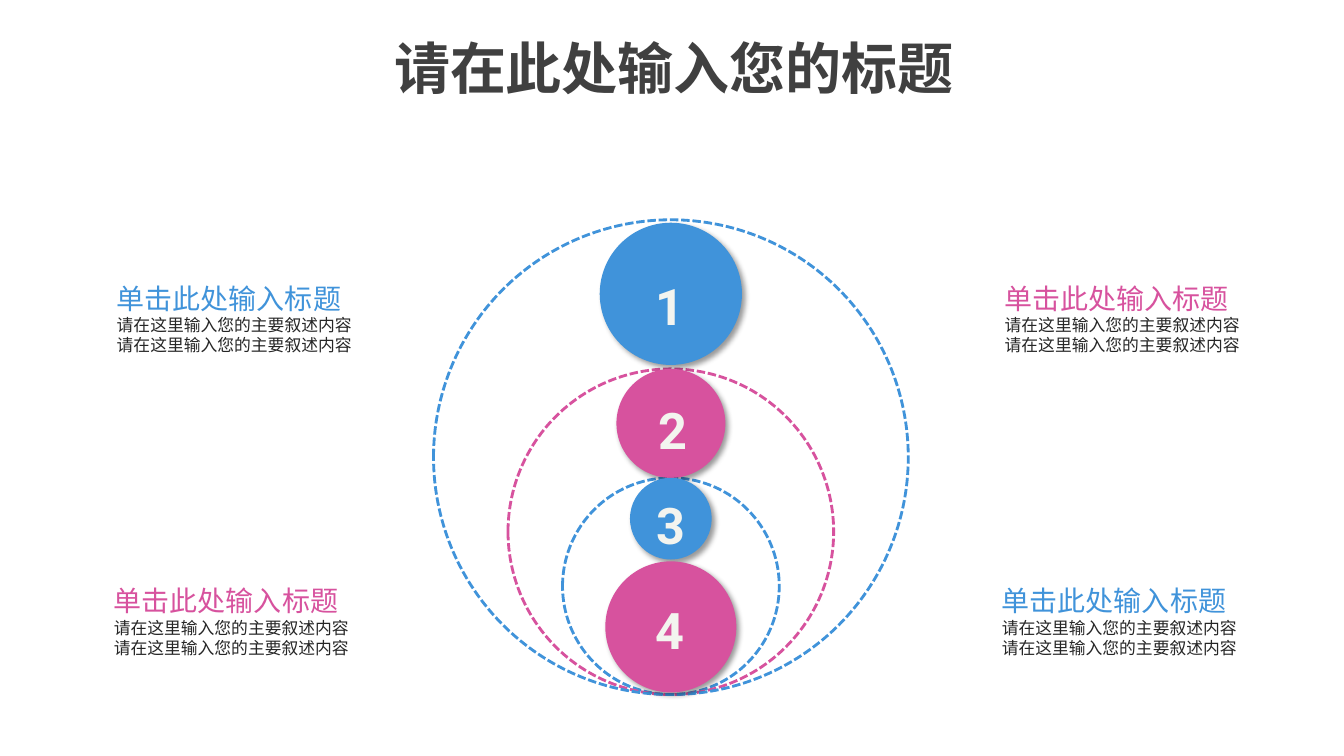
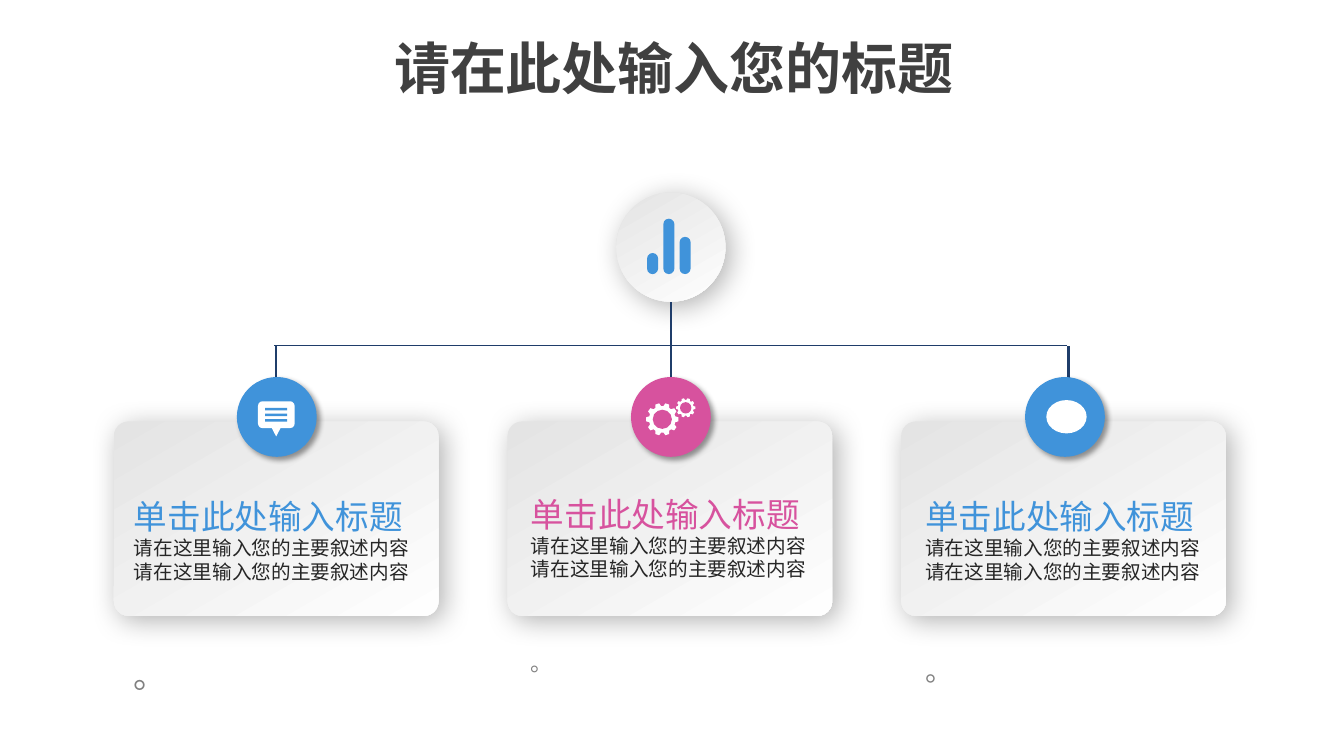
import math

from lxml import etree
from pptx import Presentation
from pptx.dml.color import RGBColor
from pptx.enum.dml import MSO_LINE
from pptx.enum.shapes import MSO_CONNECTOR, MSO_SHAPE
from pptx.enum.text import MSO_ANCHOR, MSO_AUTO_SIZE, PP_ALIGN
from pptx.oxml.ns import qn
from pptx.util import Pt

OVAL = MSO_SHAPE.OVAL
RECTANGLE = MSO_SHAPE.RECTANGLE
ROUNDED = MSO_SHAPE.ROUNDED_RECTANGLE
STRAIGHT = MSO_CONNECTOR.STRAIGHT
SYSTEM_DASH = MSO_LINE.SQUARE_DOT
TOP = MSO_ANCHOR.TOP
NO_FIT = MSO_AUTO_SIZE.NONE
LEFT = PP_ALIGN.LEFT
CENTER = PP_ALIGN.CENTER

BLUE = RGBColor(0x40, 0x93, 0xDA)
PINK = RGBColor(0xD7, 0x52, 0x9E)
NAVY = RGBColor(0x1F, 0x3D, 0x6A)
WHITE = RGBColor(0xFF, 0xFF, 0xFF)
IVORY = RGBColor(0xF3, 0xF4, 0xEF)
TITLE_GRAY = RGBColor(0x40, 0x40, 0x40)
BODY_GRAY = RGBColor(0x26, 0x26, 0x26)
DOT_GRAY = RGBColor(0x80, 0x80, 0x80)
CARD_DARK = RGBColor(0xE4, 0xE4, 0xE4)
CARD_LIGHT = RGBColor(0xFE, 0xFE, 0xFE)

CJK_FONT = "Noto Sans CJK SC"
DIGIT_FONT = "Roboto"
DOT_FONT = "Arial"
LINE_RATIO = 1.2
BASELINE_SHIFT = 0.08

BALL_SHADOW = {"alpha": 40, "blur": 4, "distance": 3}
CARD_SHADOW = {"alpha": 30, "blur": 20, "distance": 5}

TITLE = "请在此处输入您的标题"
HEADING = "单击此处输入标题"
BODY = ["请在这里输入您的主要叙述内容"] * 2

AXIS = 479.2
RING_BOTTOM = 496.1
RINGS = [(154.8, BLUE), (232.6, PINK), (339.1, BLUE)]
BALLS = [
    ("1", 159.1, 101.6, BLUE, 460.8, 193),
    ("2", 263.5, 77.8, PINK, 463, 281.5),
    ("3", 341.3, 58.4, BLUE, 461.5, 349.2),
    ("4", 401, 93.6, PINK, 460.8, 424.1),
]
NOTES = [
    (76.3, 195.8, BLUE),
    (74.2, 411.8, PINK),
    (710.6, 195.8, PINK),
    (708.5, 411.8, BLUE),
]

CARD_LEFT, CARD_TOP, CARD_WIDTH, CARD_HEIGHT = 81.3, 301, 232, 139
CARD_PITCH = 281.2
CARDS = [
    (88.6, 348.5, BLUE, 24),
    (372.2, 347, PINK, 16),
    (653.8, 348.5, BLUE, 20),
]
DOT_GAP = 43
HUB_TOP, HUB_SIZE = 137.5, 78
BAR_HEIGHTS = [15.1, 39.6, 26.6]
BAR_LEFT, BAR_PITCH, BAR_WIDTH, BAR_BOTTOM = 462.2, 11.6, 7.9, 195.8
BADGE_LEFT, BADGE_TOP, BADGE_SIZE, BADGE_PITCH = 169.2, 269.3, 57, 281.5
BUS_LINES = [
    (195.8, 247, 762.5, 247, 1),
    (AXIS, 216, AXIS, 278.6, 1.5),
    (197.3, 247.5, 197.3, 309.6, 1.5),
    (763.2, 247.5, 763.2, 309.6, 1.5),
]
GEARS = [(473.1, 299.5, 11.6), (489.8, 291.3, 6.9)]
GEAR_TEETH = 10


def apply(target, values):
    for name, value in values.items():
        setattr(target, name, value)


def add_shadow(shape, alpha, blur, distance):
    effects = shape._element.spPr.find(qn("a:effectLst"))
    shadow = etree.SubElement(
        effects, qn("a:outerShdw"), blurRad=str(Pt(blur)),
        dist=str(Pt(distance)), dir=str(45 * 60000), algn="tl", rotWithShape="0")
    color = etree.SubElement(shadow, qn("a:srgbClr"), val="000000")
    etree.SubElement(color, qn("a:alpha"), val=str(alpha * 1000))


def paint(shape, color, shadow=None):
    shape.shadow.inherit = False
    shape.line.fill.background()
    shape.fill.solid()
    shape.fill.fore_color.rgb = color
    if shadow:
        add_shadow(shape, **shadow)


def paint_card(shape):
    paint(shape, CARD_LIGHT, CARD_SHADOW)
    shape.fill.gradient()
    shape.fill.gradient_angle = 300
    for stop, position, color in zip(
            shape.fill.gradient_stops, (0, 1), (CARD_DARK, CARD_LIGHT)):
        apply(stop, {"position": position})
        stop.color.rgb = color


def add_shape(slide, kind, left, top, width, height, radius=None):
    shape = slide.shapes.add_shape(kind, Pt(left), Pt(top), Pt(width), Pt(height))
    if radius is not None:
        shape.adjustments[0] = radius
    return shape


def add_disc(slide, center_x, center_y, radius, color):
    disc = add_shape(slide, OVAL, center_x - radius, center_y - radius,
                     2 * radius, 2 * radius)
    paint(disc, color)


def add_polygon(slide, points, color):
    corners = [(Pt(x), Pt(y)) for x, y in points]
    builder = slide.shapes.build_freeform(*corners[0], scale=1.0)
    builder.add_line_segments(corners[1:], close=True)
    paint(builder.convert_to_shape(), color)


def add_run(paragraph, text, size, color, font=CJK_FONT, bold=False):
    run = paragraph.add_run()
    run.text = text
    apply(run.font, {"size": Pt(size), "bold": bold, "name": font})
    run.font.color.rgb = color
    etree.SubElement(run._r.get_or_add_rPr(), qn("a:ea"), typeface=CJK_FONT)


def prepare_frame(frame, first_size):
    apply(frame, {
        "word_wrap": True, "auto_size": NO_FIT, "vertical_anchor": TOP,
        "margin_left": Pt(7.2), "margin_right": Pt(7.2),
        "margin_top": Pt(3.6 + BASELINE_SHIFT * first_size),
        "margin_bottom": Pt(3.6),
    })


def format_line(paragraph, size, spacing=1, before=0, alignment=LEFT):
    apply(paragraph, {
        "line_spacing": Pt(round(size * LINE_RATIO * spacing, 1)),
        "space_before": Pt(before), "space_after": Pt(0), "alignment": alignment,
    })


def add_text_box(slide, left, top, width, height, first_size):
    box = slide.shapes.add_textbox(Pt(left), Pt(top), Pt(width), Pt(height))
    prepare_frame(box.text_frame, first_size)
    return box.text_frame


def add_note(slide, left, top, width, height, color, heading_size, body_size):
    frame = add_text_box(slide, left, top, width, height, heading_size)
    lines = [(HEADING, heading_size, color)]
    lines += [(text, body_size, BODY_GRAY) for text in BODY]
    for index, (text, size, line_color) in enumerate(lines):
        paragraph = frame.add_paragraph() if index else frame.paragraphs[0]
        format_line(paragraph, size)
        add_run(paragraph, text, size, line_color)
    return frame


def add_titled_slide(presentation):
    slide = presentation.slides.add_slide(presentation.slide_layouts[5])
    title = slide.shapes.title
    apply(title, {"left": Pt(271.4), "top": Pt(17.3),
                  "width": Pt(419.8), "height": Pt(55.4)})
    prepare_frame(title.text_frame, 40)
    paragraph = title.text_frame.paragraphs[0]
    format_line(paragraph, 40, alignment=CENTER)
    add_run(paragraph, TITLE, 40, TITLE_GRAY, bold=True)
    return slide


def build_rings_slide(presentation):
    slide = add_titled_slide(presentation)
    for size, color in RINGS:
        ring = add_shape(slide, OVAL, AXIS - size / 2, RING_BOTTOM - size, size, size)
        ring.shadow.inherit = False
        ring.fill.background()
        ring.line.color.rgb = color
        apply(ring.line, {"width": Pt(2), "dash_style": SYSTEM_DASH})
    for digit, top, size, color, text_left, text_top in BALLS:
        ball = add_shape(slide, OVAL, AXIS - size / 2, top, size, size)
        paint(ball, color, BALL_SHADOW)
        frame = add_text_box(slide, text_left, text_top, 35.4, 51, 0)
        add_run(frame.paragraphs[0], digit, 36, IVORY, DIGIT_FONT, True)
    for left, top, color in NOTES:
        add_note(slide, left, top, 184.3, 90, color, 20, 12)


def draw_bubble(slide, color):
    paint(add_shape(slide, ROUNDED, 184.3, 286.6, 26.2, 19.2, 0.17), WHITE)
    add_polygon(slide, [(193.7, 304.8), (200.9, 304.8), (197.3, 311.8)], WHITE)
    for row in range(3):
        paint(add_shape(slide, RECTANGLE, 189.4, 291.4 + 4 * row, 15.8, 1.8), color)


def draw_gears(slide, color):
    tooth = [(-13, 0.82), (-7, 1), (7, 1), (13, 0.82)]
    for center_x, center_y, radius in GEARS:
        points = []
        for index in range(GEAR_TEETH):
            for offset, reach in tooth:
                angle = math.radians(index * 360 / GEAR_TEETH + offset)
                points.append((center_x + radius * reach * math.cos(angle),
                               center_y + radius * reach * math.sin(angle)))
        add_polygon(slide, points, WHITE)
        add_disc(slide, center_x, center_y, radius * 0.59, color)


def draw_plain_mark(slide, color):
    paint(add_shape(slide, OVAL, 747.4, 285.8, 28.8, 23.8), WHITE)


def build_tree_slide(presentation):
    slide = add_titled_slide(presentation)
    for index, (left, top, color, dot_size) in enumerate(CARDS):
        card = add_shape(slide, ROUNDED, CARD_LEFT + index * CARD_PITCH, CARD_TOP,
                         CARD_WIDTH, CARD_HEIGHT, 0.076)
        paint_card(card)
        frame = add_note(slide, left, top, 212.4, 150, color, 24, 14)
        paragraph = frame.add_paragraph()
        format_line(paragraph, dot_size, 1.3, DOT_GAP)
        add_run(paragraph, "。", dot_size, DOT_GRAY, DOT_FONT)

    hub = add_shape(slide, OVAL, AXIS - HUB_SIZE / 2, HUB_TOP, HUB_SIZE, HUB_SIZE)
    paint_card(hub)
    for index, height in enumerate(BAR_HEIGHTS):
        bar = add_shape(slide, ROUNDED, BAR_LEFT + index * BAR_PITCH,
                        BAR_BOTTOM - height, BAR_WIDTH, height, 0.5)
        paint(bar, BLUE)

    for start_x, start_y, end_x, end_y, width in BUS_LINES:
        line = slide.shapes.add_connector(
            STRAIGHT, Pt(start_x), Pt(start_y), Pt(end_x), Pt(end_y))
        line.line.color.rgb = NAVY
        line.line.width = Pt(width)
        etree.SubElement(line._element.spPr, qn("a:effectLst"))

    icons = [draw_bubble, draw_gears, draw_plain_mark]
    for index, (card, draw_icon) in enumerate(zip(CARDS, icons)):
        color = card[2]
        badge = add_shape(slide, OVAL, BADGE_LEFT + index * BADGE_PITCH,
                          BADGE_TOP, BADGE_SIZE, BADGE_SIZE)
        paint(badge, color, BALL_SHADOW)
        draw_icon(slide, color)


def main():
    presentation = Presentation()
    apply(presentation, {"slide_width": Pt(960), "slide_height": Pt(540)})
    build_rings_slide(presentation)
    build_tree_slide(presentation)
    presentation.save("out.pptx")


if __name__ == "__main__":
    main()
